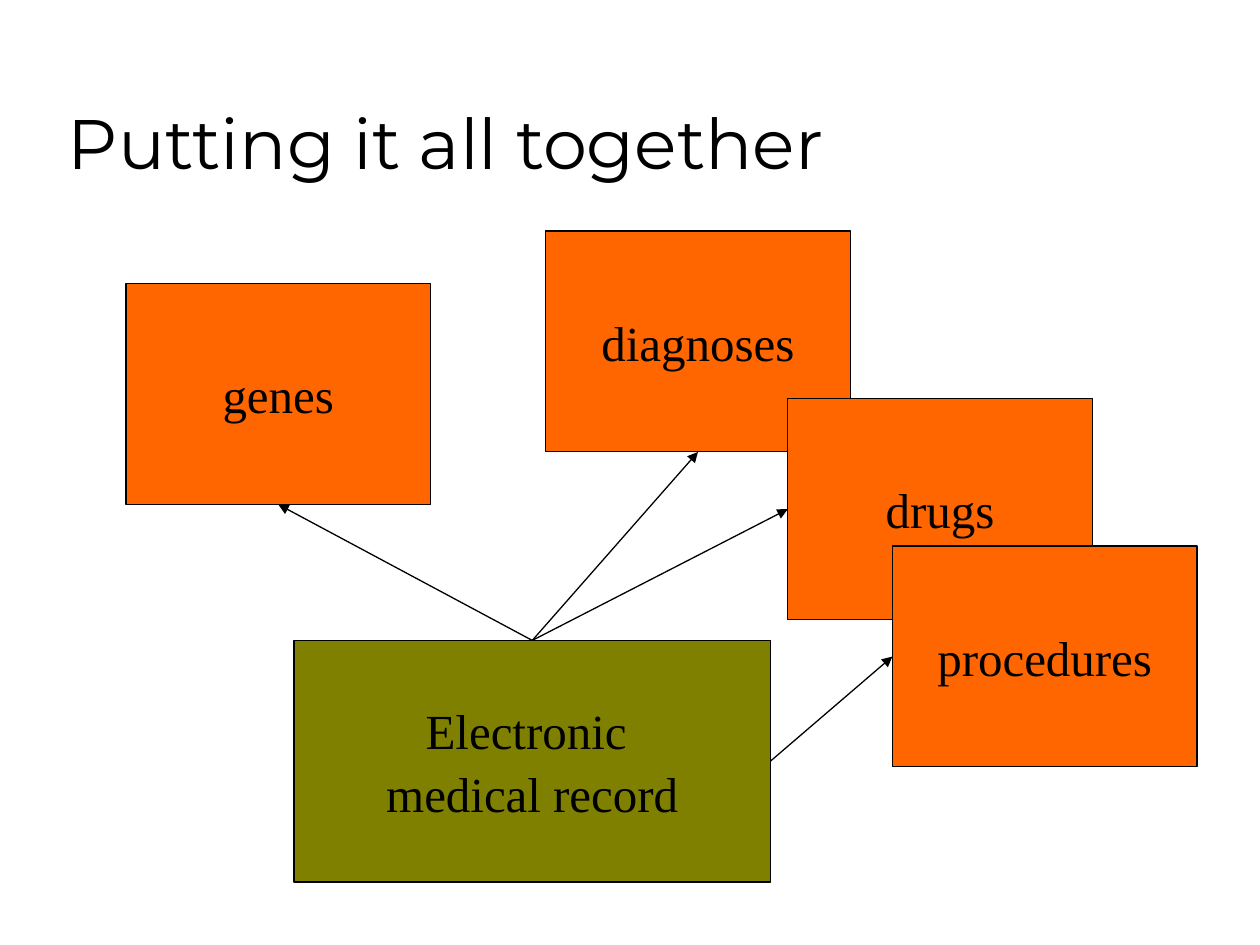
from dataclasses import dataclass

from lxml.etree import SubElement
from pptx import Presentation
from pptx.dml.color import RGBColor
from pptx.enum.shapes import MSO_CONNECTOR as Line, MSO_SHAPE as Kind
from pptx.enum.text import MSO_ANCHOR as Anchor, PP_ALIGN as Align
from pptx.oxml.ns import qn
from pptx.shapes.autoshape import Shape
from pptx.shapes.shapetree import SlideShapes
from pptx.util import Cm, Pt

BLACK = RGBColor(0x00, 0x00, 0x00)
OLIVE = RGBColor(0x80, 0x80, 0x00)
ORANGE = RGBColor(0xFF, 0x66, 0x00)
TOP, LEFT, BOTTOM, RIGHT = range(4)


@dataclass
class Box:
    text: str
    x: float
    y: float
    wide: float = 6.14
    high: float = 4.45
    fill: RGBColor = ORANGE


@dataclass
class Link:
    start: int
    target: str
    end: int


RECORD = Box("Electronic \nmedical record", 5.93, 12.91, 9.6, 4.87, OLIVE)
FIELDS = [
    Box("genes", 2.54, 5.72),
    Box("diagnoses", 11, 4.66),
    Box("drugs", 15.88, 8.04),
    Box("procedures", 17.99, 11.01),
]
LINKS = [
    Link(TOP, "genes", BOTTOM),
    Link(TOP, "diagnoses", BOTTOM),
    Link(TOP, "drugs", LEFT),
    Link(RIGHT, "procedures", LEFT),
]


def add_title(shapes: SlideShapes, text: str) -> None:
    frame = shapes.add_textbox(Cm(1.12), Cm(0.64), Cm(21.59), Cm(3.18)).text_frame
    frame.word_wrap = True
    frame.vertical_anchor = Anchor.BOTTOM
    frame.text = text
    font = frame.paragraphs[0].font
    font.name, font.size = "Montserrat", Pt(40)
    font.color.rgb = BLACK


def add_box(shapes: SlideShapes, box: Box) -> Shape:
    shape = shapes.add_shape(
        Kind.RECTANGLE, Cm(box.x), Cm(box.y), Cm(box.wide), Cm(box.high)
    )
    shape.shadow.inherit = False
    shape.fill.solid()
    shape.fill.fore_color.rgb = box.fill
    shape.line.color.rgb = BLACK
    shape.line.width = Pt(0.75)
    frame = shape.text_frame
    frame.word_wrap = False
    frame.vertical_anchor = Anchor.MIDDLE
    frame.text = box.text
    for para in frame.paragraphs:
        para.alignment = Align.CENTER
        para.space_before = Pt(2.5)
        para.font.name, para.font.size = "Times New Roman", Pt(28)
        para.font.color.rgb = BLACK
    return shape


def add_arrow(
    shapes: SlideShapes, source: Shape, start: int, target: Shape, end: int
) -> None:
    """Join two box sides, with the arrowhead at the target."""
    arrow = shapes.add_connector(Line.STRAIGHT, 0, 0, 0, 0)
    arrow.begin_connect(source, start)
    arrow.end_connect(target, end)
    arrow.line.color.rgb = BLACK
    arrow.line.width = Pt(0.75)
    props = arrow.line._get_or_add_ln()
    SubElement(props, qn("a:tailEnd"), type="triangle")
    SubElement(arrow._element.spPr, qn("a:effectLst"))


def main() -> None:
    deck = Presentation()
    deck.slide_width, deck.slide_height = Cm(25.4), Cm(19.05)
    shapes = deck.slides.add_slide(deck.slide_layouts[6]).shapes
    add_title(shapes, "Putting it all together")
    record = add_box(shapes, RECORD)
    fields = {box.text: add_box(shapes, box) for box in FIELDS}
    for link in LINKS:
        add_arrow(shapes, record, link.start, fields[link.target], link.end)
    deck.save("out.pptx")


if __name__ == "__main__":
    main()
